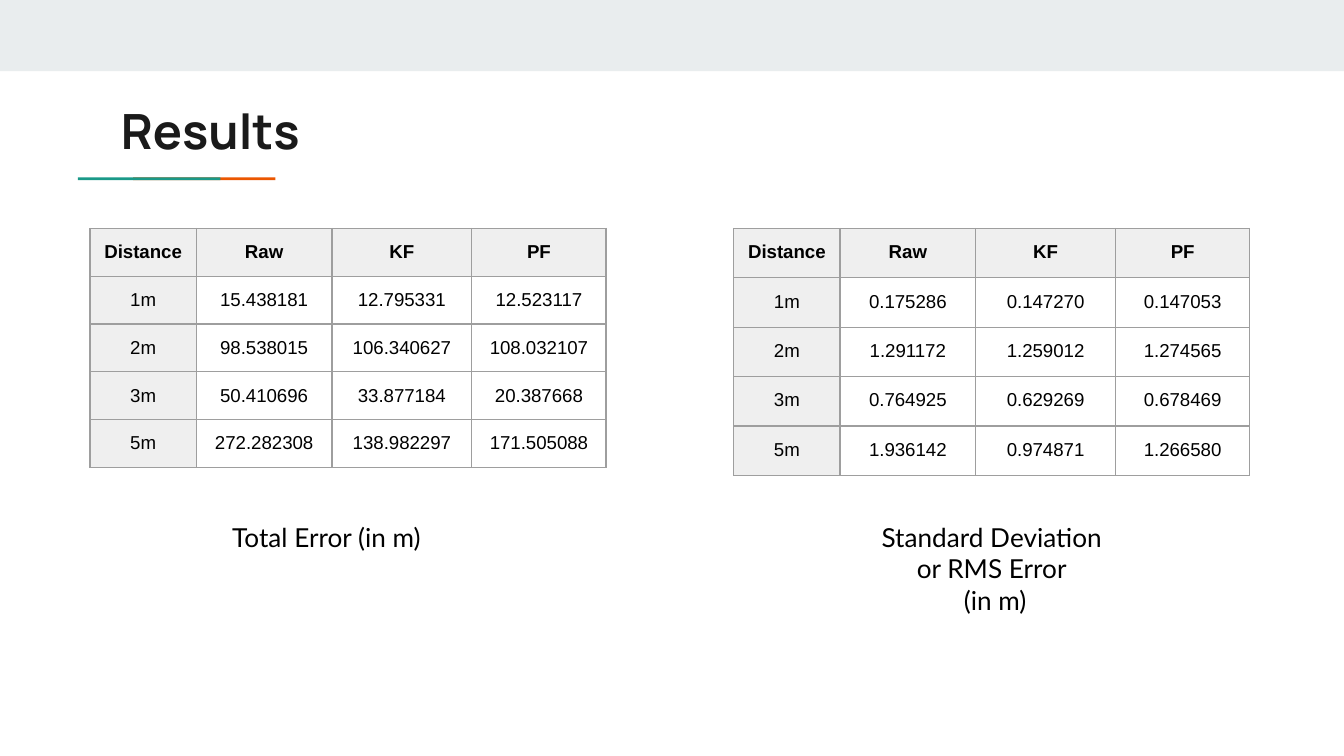
"""Build the Results slide with two error tables and their captions."""
from lxml.etree import SubElement
from pptx import Presentation
from pptx.dml.color import RGBColor
from pptx.enum.shapes import MSO_SHAPE as Shape
from pptx.enum.text import MSO_ANCHOR as Anchor, MSO_AUTO_SIZE as AutoSize, PP_ALIGN as Align
from pptx.oxml.ns import qn
from pptx.util import Inches, Pt


def rgb(color):
    return RGBColor.from_string(color)


def write(frame, lines, align, size, font, color="000000", bold=False):
    frame.text = "\n".join(lines)
    frame.vertical_anchor = Anchor.TOP
    for side in ("left", "right", "top", "bottom"):
        setattr(frame, f"margin_{side}", Inches(0.1))
    for paragraph in frame.paragraphs:
        paragraph.alignment = align
        for run in paragraph.runs:
            for name, value in {"size": Pt(size), "name": font, "bold": bold}.items():
                setattr(run.font, name, value)
            run.font.color.rgb = rgb(color)


deck = Presentation()
deck.slide_width, deck.slide_height = Inches(10), Inches(10 * 9 / 16)
slide = deck.slides.add_slide(deck.slide_layouts[5])
slide.background.fill.solid()
slide.background.fill.fore_color.rgb = rgb("FFFFFF")

bands = [
    (0, 0, 10, 0.53, "E9EDEE"),
    (0.99, 1.32, 1.06, 0.02, "EB5600"),
    (0.58, 1.32, 1.06, 0.02, "1A9988"),
]
for left, top, width, height, color in bands:
    band = slide.shapes.add_shape(
        Shape.RECTANGLE, Inches(left), Inches(top), Inches(width), Inches(height)
    )
    band.shadow.inherit = False
    band.fill.solid()
    band.fill.fore_color.rgb = rgb(color)
    band.line.fill.background()

title = slide.shapes.title
title_place = {"left": 0.8, "top": 0.65, "width": 8.41, "height": 0.59}
for name, value in title_place.items():
    setattr(title, name, Inches(value))
write(title.text_frame, ["Results"], Align.LEFT, 26, "Manrope", "1A1A1A", True)
title.text_frame.auto_size = AutoSize.NONE

headers = ["Distance", "Raw", "KF", "PF"]
column_widths = [0.79, 1.01, 1.04, 1]
header_height = 0.31
table_size = Inches(3.28)
total_error = [
    ["1m", "15.438181", "12.795331", "12.523117"],
    ["2m", "98.538015", "106.340627", "108.032107"],
    ["3m", "50.410696", "33.877184", "20.387668"],
    ["5m", "272.282308", "138.982297", "171.505088"],
]
rms_error = [
    ["1m", "0.175286", "0.147270", "0.147053"],
    ["2m", "1.291172", "1.259012", "1.274565"],
    ["3m", "0.764925", "0.629269", "0.678469"],
    ["5m", "1.936142", "0.974871", "1.266580"],
]
rms_caption = ["Standard Deviation", "or RMS Error", " (in m)"]
results = [
    (0.67, total_error, 0.31, 1.36, 2.14, ["Total Error (in m)"]),
    (5.46, rms_error, 0.21, 6.18, 2.4, rms_caption),
]

for table_left, measurements, body_height, caption_left, caption_width, caption_lines in results:
    rows = [headers] + measurements
    table_frame = slide.shapes.add_table(
        len(rows), len(headers), Inches(table_left), Inches(1.7), table_size, table_size
    )
    error_table = table_frame.table
    error_table.first_row = error_table.horz_banding = False
    for column, width in zip(error_table.columns, column_widths):
        column.width = Inches(width)
    for r, row in enumerate(rows):
        error_table.rows[r].height = Inches(body_height if r else header_height)
        for c, value in enumerate(row):
            cell = error_table.cell(r, c)
            write(cell.text_frame, [value], Align.CENTER, 10, "Arial", bold=r == 0)
            cell.vertical_anchor = Anchor.TOP
            for side in ("left", "right", "top", "bottom"):
                setattr(cell, f"margin_{side}", Inches(0.1))
            properties = cell._tc.get_or_add_tcPr()
            for edge in ("lnL", "lnR", "lnT", "lnB"):
                border = SubElement(properties, qn(f"a:{edge}"), w=str(Pt(0.75)))
                border_fill = SubElement(border, qn("a:solidFill"))
                SubElement(border_fill, qn("a:srgbClr"), val="9E9E9E")
            if r == 0 or c == 0:
                cell.fill.solid()
                cell.fill.fore_color.rgb = rgb("EFEFEF")
            else:
                cell.fill.background()
    table_frame.width = table_frame.height = table_size

    caption = slide.shapes.add_textbox(
        Inches(caption_left), Inches(3.78), Inches(caption_width), Inches(0.34)
    )
    caption.text_frame.word_wrap = True
    write(caption.text_frame, caption_lines, Align.CENTER, 14, "Lato")

deck.save("out.pptx")
